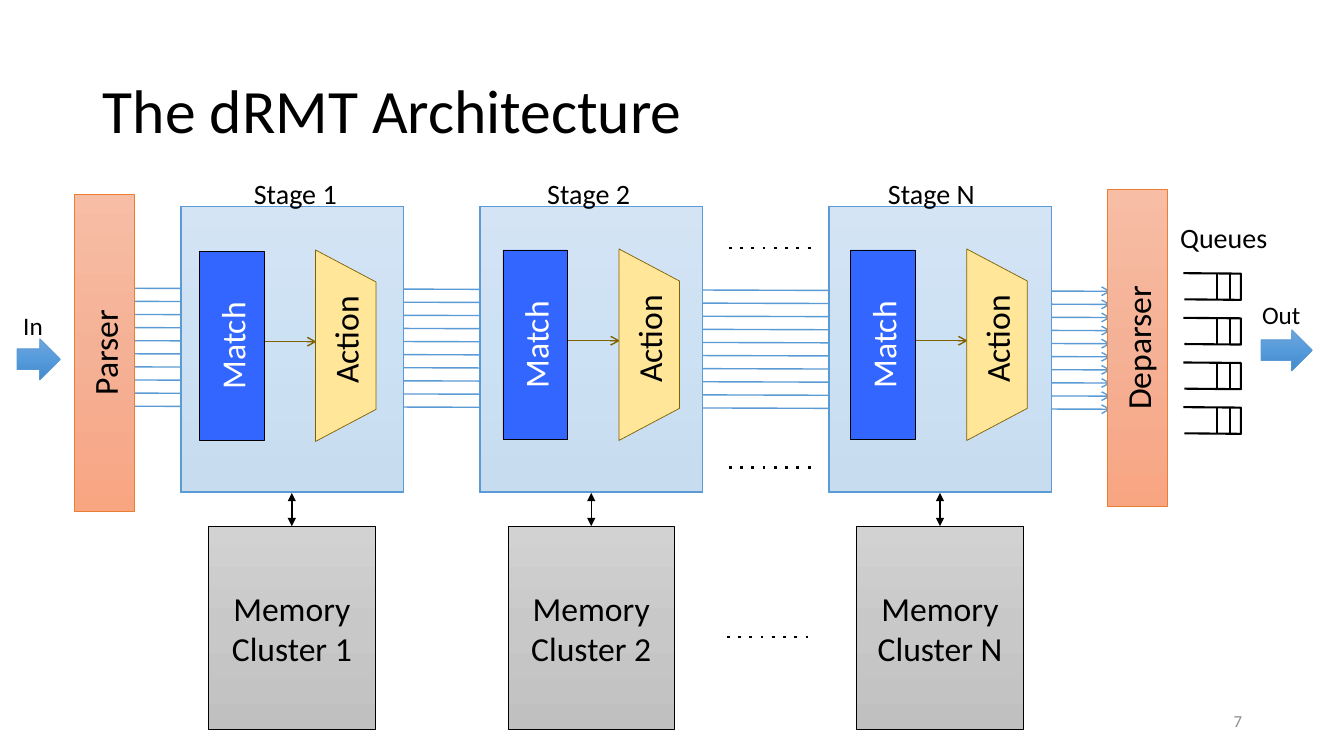
from copy import deepcopy
from dataclasses import dataclass
from typing import NamedTuple

from lxml.etree import SubElement
from pptx import Presentation
from pptx.dml.color import RGBColor
from pptx.enum.shapes import MSO_CONNECTOR, MSO_SHAPE
from pptx.enum.text import MSO_ANCHOR, MSO_AUTO_SIZE, PP_ALIGN
from pptx.oxml.ns import qn
from pptx.shapes.autoshape import Shape
from pptx.shapes.connector import Connector
from pptx.util import Emu, Inches, Pt

CELLS_PER_INCH = 10
FONT = "Calibri"
BLACK, WHITE, GREY = "000000", "FFFFFF", "8C8C8C"
BLUE, ORANGE, OLIVE = "5B9BD5", "ED7D31", "806000"
MATCH_BLUE, ACTION_YELLOW = "3366FF", "FFE699"
BLUE_SHADES = ("71A6DB", "559BDB", "448ACA")
ORANGE_SHADES = ("F7BDA5", "F5B196", "F8A582")
GREY_SHADES = ("D2D2D2", "C8C8C8", "C0C0C0")


class Place(NamedTuple):
    left: float
    top: float
    width: float
    height: float


class Point(NamedTuple):
    column: float
    row: float


@dataclass
class Stage:
    name: str
    left: float
    label_left: float
    match_left: float
    match_top: float


@dataclass
class Endpoint:
    name: str
    place: Place


@dataclass
class Port:
    name: str
    arrow: Place
    label: Place


STAGES = [
    Stage("1", 17.9, 24.2, 19.8, 24.9),
    Stage("2", 47.6, 53.3, 49.9, 24.8),
    Stage("N", 82.2, 87.1, 84.4, 24.8),
]
ENDPOINTS = [
    Endpoint("Parser", Place(7.4, 19.3, 5.9, 31.4)),
    Endpoint("Deparser", Place(109.9, 18.8, 5.9, 31.4)),
]
PORTS = [
    Port("In", Place(1.7, 33.6, 4.3, 4.1), Place(0.9, 30.1, 5.2, 4.5)),
    Port("Out", Place(125.1, 32.7, 5.1, 4.1), Place(123.8, 29, 7.4, 4.5)),
]
DOTTED_STARTS = [Point(72.3, 24.6), Point(72.3, 46.4), Point(72.1, 63.2)]


def grid(cells: float) -> Emu:
    return Inches(cells / CELLS_PER_INCH)


def colour(value: str) -> RGBColor:
    return RGBColor.from_string(value)


def write(box: Shape, words: str, size: float, ink: str = BLACK,
          align: PP_ALIGN = PP_ALIGN.LEFT) -> None:
    para = box.text_frame.paragraphs[0]
    para.alignment = align
    span = para.add_run()
    span.text = words
    span.font.size = Pt(size)
    span.font.name = FONT
    span.font.color.rgb = colour(ink)


def outline(box: Shape | Connector, ink: str, width: float) -> None:
    box.line.color.rgb = colour(ink)
    box.line.width = Pt(width)


def shade(box: Shape, shades: tuple[str, ...]) -> None:
    box.fill.gradient()
    box.fill.gradient_angle = 270
    stops = box.element.spPr.find(".//" + qn("a:gsLst"))
    while len(stops) < len(shades):
        stops.append(deepcopy(stops[-1]))
    for index, (stop, value) in enumerate(zip(box.fill.gradient_stops, shades)):
        stop.color.rgb = colour(value)
        stop.position = index / (len(shades) - 1)


def add_block(page, kind: MSO_SHAPE, place: Place, shades: tuple[str, ...], edge: str) -> Shape:
    box = page.shapes.add_shape(kind, *map(grid, place))
    box.shadow.inherit = False
    if len(shades) > 1:
        shade(box, shades)
    else:
        box.fill.solid()
        box.fill.fore_color.rgb = colour(shades[0])
    outline(box, edge, 0.5)
    return box


def write_centred(box: Shape, words: str, ink: str = BLACK, upright: bool = False,
                  margin: float | None = None) -> None:
    frame = box.text_frame
    frame.word_wrap = True
    frame.vertical_anchor = MSO_ANCHOR.MIDDLE
    if margin is not None:
        frame.margin_left = frame.margin_right = grid(margin)
        frame.margin_top = frame.margin_bottom = grid(margin / 2)
    if upright:
        frame._txBody.bodyPr.set("vert", "vert270")
    write(box, words, 24, ink, PP_ALIGN.CENTER)


def add_label(page, place: Place, words: str, size: float, wrap: bool = True) -> Shape:
    box = page.shapes.add_textbox(*map(grid, place))
    box.text_frame.word_wrap = wrap
    box.text_frame.auto_size = MSO_AUTO_SIZE.SHAPE_TO_FIT_TEXT
    write(box, words, size)
    return box


def add_line(page, start: Point, end: Point, ink: str, width: float, dash: str = "",
             head: str = "", tail: str = "") -> Connector:
    line = page.shapes.add_connector(MSO_CONNECTOR.STRAIGHT, *map(grid, start + end))
    outline(line, ink, width)
    stroke = line.line._get_or_add_ln()
    for tag, key, value in (("a:prstDash", "val", dash), ("a:headEnd", "type", head),
                            ("a:tailEnd", "type", tail)):
        if value:
            SubElement(stroke, qn(tag)).set(key, value)
    SubElement(line.element.spPr, qn("a:effectLst"))
    return line


def draw_stage(page, stage: Stage) -> None:
    body = add_block(page, MSO_SHAPE.RECTANGLE, Place(stage.left, 20.5, 22.1, 28.4),
                     BLUE_SHADES, BLUE)
    veil = add_block(page, MSO_SHAPE.RECTANGLE, Place(stage.left + 0.1, 20.5, 22, 28.3),
                     (WHITE,), BLUE)
    tint = veil.element.spPr.find(qn("a:solidFill"))[0]
    SubElement(tint, qn("a:alpha")).set("val", "70000")
    add_label(page, Place(stage.label_left, 17, 10.8, 3.4), f"Stage {stage.name}", 20, False)

    left, top = stage.match_left, stage.match_top
    add_line(page, Point(left + 3.6, top + 9), Point(left + 11.6, top + 9), OLIVE, 1, tail="arrow")
    match = add_block(page, MSO_SHAPE.RECTANGLE, Place(left, top, 6.4, 18.8), (MATCH_BLUE,), BLACK)
    write_centred(match, "Match", WHITE, upright=True)
    action = add_block(page, MSO_SHAPE.TRAPEZOID, Place(left + 5, top + 6.4, 19, 6),
                       (ACTION_YELLOW,), OLIVE)
    action.adjustments[0] = 0.53
    action.rotation = 90
    add_label(page, Place(left + 8.5, top + 5.7, 11.9, 5), "Action", 24).rotation = 270

    memory = add_block(page, MSO_SHAPE.RECTANGLE, Place(stage.left + 2.8, 52.2, 16.5, 20.2),
                       GREY_SHADES, BLACK)
    write_centred(memory, f"Memory Cluster {stage.name}", margin=0)
    middle = stage.left + 11.05
    link = add_line(page, Point(middle, 48.9), Point(middle, 52.2), BLACK, 1,
                    head="triangle", tail="triangle")
    link.begin_connect(body, 2)
    link.end_connect(memory, 0)


def draw_queue(page, top: float) -> None:
    builder = page.shapes.build_freeform(grid(117.4), grid(top))
    corners = [Point(123.1, top + 0.05), Point(123.1, top + 2.65), Point(117.5, top + 2.6)]
    builder.add_line_segments([tuple(map(grid, corner)) for corner in corners], close=False)
    queue = builder.convert_to_shape()
    queue.shadow.inherit = False
    queue.fill.background()
    outline(queue, BLACK, 1.5)
    for column in (122, 120.7):
        add_line(page, Point(column, top), Point(column, top + 2.65), BLACK, 1.5)


def main() -> None:
    deck = Presentation()
    deck.slide_width, deck.slide_height = grid(133.33), grid(75)
    page = deck.slides.add_slide(deck.slide_layouts[5])

    title = page.shapes.title
    title.left, title.top, title.width, title.height = map(grid, Place(9.2, 4, 121.1, 14.5))
    title.text_frame.auto_size = MSO_AUTO_SIZE.NONE
    title.text_frame.vertical_anchor = MSO_ANCHOR.MIDDLE
    write(title, "The dRMT Architecture", 44)
    title.text_frame.paragraphs[0].line_spacing = 0.9

    for wire in range(10):
        row = 28.6 + 1.3 * wire
        add_line(page, Point(13.3, row), Point(110.2, row + 0.3), BLUE, 1, tail="arrow")
    for start in DOTTED_STARTS:
        add_line(page, start, Point(start.column + 8.7, start.row), BLACK, 2, dash="dot")
    for stage in STAGES:
        draw_stage(page, stage)
    for endpoint in ENDPOINTS:
        box = add_block(page, MSO_SHAPE.RECTANGLE, endpoint.place, ORANGE_SHADES, ORANGE)
        write_centred(box, endpoint.name, upright=True, margin=1.4)
    for index in range(4):
        draw_queue(page, 27.1 + 4.43 * index)
    add_label(page, Place(116.1, 21.4, 11, 4.4), "Queues", 20)
    for port in PORTS:
        add_block(page, MSO_SHAPE.RIGHT_ARROW, port.arrow, BLUE_SHADES, BLUE)
        frame = add_label(page, port.label, port.name, 18, wrap=False).text_frame
        frame.margin_left = frame.margin_right = grid(1.4)
        frame.margin_top = frame.margin_bottom = grid(0.7)

    number = page.shapes.add_textbox(*map(grid, Place(94.2, 69.5, 30, 4)))
    number.text_frame.word_wrap = True
    number.text_frame.vertical_anchor = MSO_ANCHOR.MIDDLE
    write(number, "7", 12, GREY, PP_ALIGN.RIGHT)
    deck.save("out.pptx")


if __name__ == "__main__":
    main()
